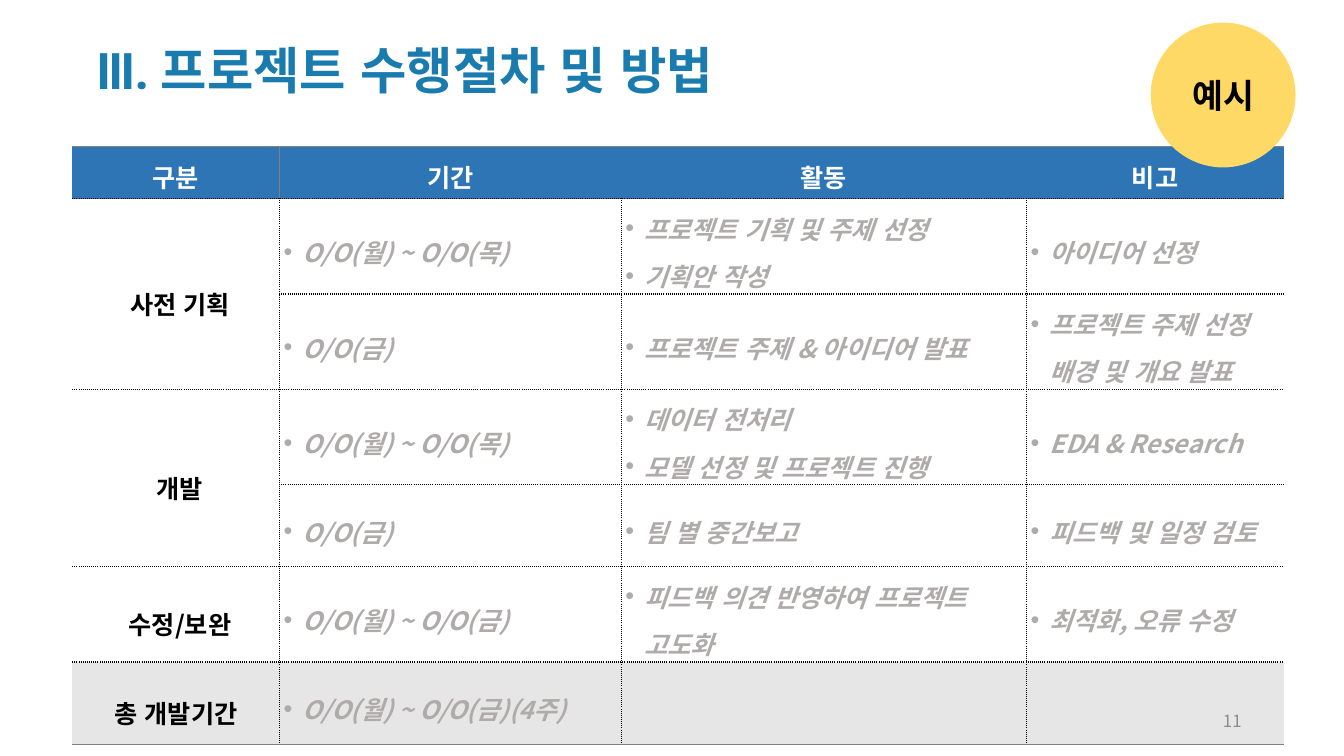
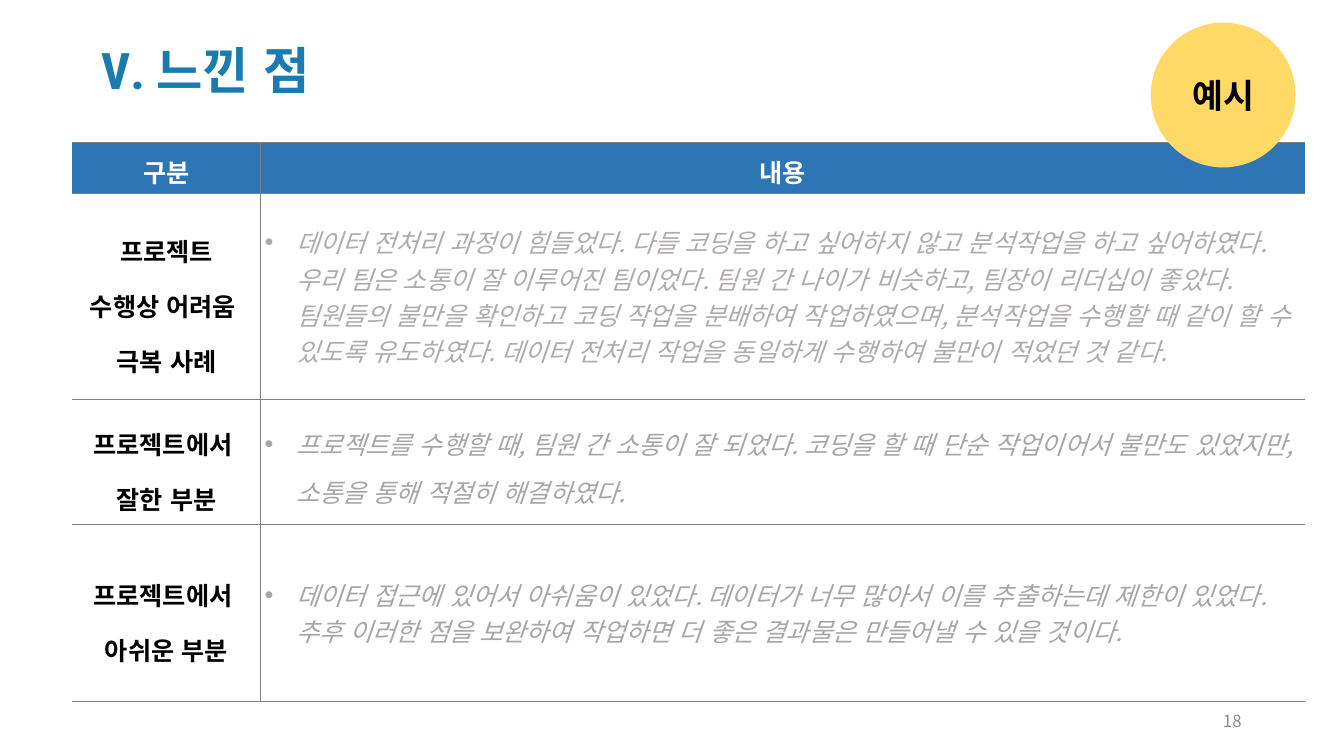
from lxml.etree import SubElement as Sub
from pptx import Presentation
from pptx.dml.color import RGBColor as Rgb
from pptx.enum.lang import MSO_LANGUAGE_ID as Lang
from pptx.enum.shapes import MSO_SHAPE as Shape
from pptx.enum.text import MSO_ANCHOR as Anchor, PP_ALIGN as Align
from pptx.oxml import parse_xml
from pptx.oxml.ns import nsdecls, qn
from pptx.util import Cm, Pt

SANS, HEAD, MARK = "Noto Sans CJK KR", "Roboto Condensed", "Arial"
BLUE, NAVY, GOLD = "2E75B6", "1A7BAE", "FFD966"
BLACK, WHITE, PALE = "000000", "FFFFFF", "E7E6E6"
SOFT, DIM, FOOT = "AFABAB", "A6A6A6", "8C8C8C"
THIN = ("808080", 0.5, "solid")
DOTS = (BLACK, 1, "sysDot")


def hue(code):
    """Turn a hex string into a colour."""
    return Rgb.from_string(code)


def write(frame, text, size=18, color=BLACK, bold=False, slant=False, font=SANS,
          align=Align.LEFT, space=None, dent=0):
    """Fill a text frame, one paragraph per line, bulleted when dent is given."""
    frame.word_wrap = True
    for num, line in enumerate(text.split("\n")):
        para = frame.add_paragraph() if num else frame.paragraphs[0]
        para.alignment = align
        if space:
            para.line_spacing = space
        if dent:
            props = para._p.get_or_add_pPr()
            props.set("marL", str(Cm(dent)))
            props.set("indent", str(-Cm(dent)))
            Sub(props, qn("a:buFont")).set("typeface", MARK)
            Sub(props, qn("a:buChar")).set("char", "•")
        run = para.add_run()
        run.text = line
        face = run.font
        face.size, face.bold, face.italic = Pt(size), bold, slant
        face.color.rgb = hue(color)
        face.language_id = Lang.KOREAN
        face.name = font
        Sub(run._r.get_or_add_rPr(), qn("a:ea")).set("typeface", SANS)


def paint(item, code):
    """Fill a shape or cell, or clear it when no colour is given."""
    if code:
        item.fill.solid()
        item.fill.fore_color.rgb = hue(code)
    else:
        item.fill.background()


def rule(cell, *sides):
    """Set the left, right, top and bottom borders of a cell."""
    props = cell._tc.get_or_add_tcPr()
    for spot, (name, line) in enumerate(zip("LRTB", sides)):
        if line:
            code, width, dash = line
            size = f' w="{Pt(width)}"'
            body = (f'<a:solidFill><a:srgbClr val="{code}"/></a:solidFill>'
                    f'<a:prstDash val="{dash}"/>')
        else:
            size, body = "", "<a:noFill/>"
        props.insert(spot, parse_xml(
            f'<a:ln{name} {nsdecls("a")}{size}>{body}</a:ln{name}>'))


def pad(cell, left=0):
    """Set the left margin of a cell, clear the others and centre it upright."""
    cell.margin_left = Cm(left)
    cell.margin_right = cell.margin_top = cell.margin_bottom = 0
    cell.vertical_anchor = Anchor.MIDDLE


def grid(slide, left, top, cols, rows, data, styles, inner, inset=0, total=False):
    """Draw a table with a head row, a label column and bulleted cells."""
    table = slide.shapes.add_table(len(rows), len(cols), Cm(left), Cm(top),
                                   Cm(sum(cols)), Cm(sum(rows))).table
    table.first_row = table.horz_banding = False
    for col, width in zip(table.columns, cols):
        col.width = Cm(width)
    for row, height in zip(table.rows, rows):
        row.height = Cm(height)
    last = len(rows) - 1

    def side(r, c):
        """Pick the line to the left of a cell."""
        if c in (0, len(cols)) or (r == 0 and c > 1):
            return None
        return inner if r else THIN

    for r, line in enumerate(data):
        for c, text in enumerate(line):
            cell = table.cell(r, c)
            closing = total and r == last
            paint(cell, BLUE if r == 0 else PALE if closing else None)
            above = None if text is None else inner if r else THIN
            rule(cell, side(r, c), side(r, c + 1), above,
                 THIN if r == last else inner)
            if r == 0:
                pad(cell)
                write(cell.text_frame, text, color=WHITE, bold=True,
                      align=Align.CENTER, space=1.2)
            elif c == 0:
                pad(cell, 0 if closing else inset)
                if text:
                    write(cell.text_frame, text, bold=True,
                          align=Align.CENTER, space=1.5)
            else:
                pad(cell, 0.1)
                if text:
                    write(cell.text_frame, text, slant=True, **styles[r - 1])
    for r, line in enumerate(data):
        if line[0] is None:
            table.cell(r - 1, 0).merge(table.cell(r, 0))


def title(slide, text, left):
    """Place the slide title."""
    box = slide.shapes.add_textbox(Cm(left), Cm(0.86), Cm(18.9), Cm(1.8))
    write(box.text_frame, text, size=36, color=NAVY, bold=True, font=HEAD)


def page(slide, text):
    """Place the page number."""
    box = slide.shapes.add_textbox(Cm(23.92), Cm(17.65), Cm(7.62), Cm(1.02))
    box.text_frame.vertical_anchor = Anchor.MIDDLE
    write(box.text_frame, text, size=12, color=FOOT, align=Align.RIGHT)


def badge(slide, text):
    """Place the round badge in the corner."""
    disc = slide.shapes.add_shape(Shape.OVAL, Cm(29), Cm(0.57), Cm(3.65), Cm(3.65))
    disc.shadow.inherit = False
    paint(disc, GOLD)
    disc.line.fill.background()
    disc.text_frame.vertical_anchor = Anchor.MIDDLE
    write(disc.text_frame, text, size=24, bold=True, align=Align.CENTER)


def build(deck, name, left, number, **table):
    """Add one slide with its title, table, page number and badge."""
    slide = deck.slides.add_slide(deck.slide_layouts[6])
    title(slide, name, left)
    grid(slide, 1.82, **table)
    page(slide, number)
    badge(slide, "예시")


PLAN = [
    ("구분", "기간", "활동", "비고"),
    ("사전 기획", "O/O(월) ~ O/O(목)", "프로젝트 기획 및 주제 선정\n기획안 작성", "아이디어 선정"),
    (None, "O/O(금)", "프로젝트 주제 & 아이디어 발표", "프로젝트 주제 선정 배경 및 개요 발표"),
    ("개발", "O/O(월) ~ O/O(목)", "데이터 전처리\n모델 선정 및 프로젝트 진행", "EDA & Research"),
    (None, "O/O(금)", "팀 별 중간보고", "피드백 및 일정 검토"),
    ("수정/보완", "O/O(월) ~ O/O(금)", "피드백 의견 반영하여 프로젝트 고도화", "최적화, 오류 수정"),
    ("총 개발기간", "O/O(월) ~ O/O(금)(4주)", "", ""),
]
VIEWS = [
    ("구분", "내용"),
    ("프로젝트\n수행상 어려움 \n극복 사례",
     "데이터 전처리 과정이 힘들었다. 다들 코딩을 하고 싶어하지 않고 분석작업을 하고 싶어하였다. "
     "우리 팀은 소통이 잘 이루어진 팀이었다. 팀원 간 나이가 비슷하고, 팀장이 리더십이 좋았다. "
     "팀원들의 불만을 확인하고 코딩 작업을 분배하여 작업하였으며, 분석작업을 수행할 때 같이 할 "
     "수 있도록 유도하였다. 데이터 전처리 작업을 동일하게 수행하여 불만이 적었던 것 같다."),
    ("프로젝트에서 \n잘한 부분",
     "프로젝트를 수행할 때, 팀원 간 소통이 잘 되었다. 코딩을 할 때 단순 작업이어서 불만도 "
     "있었지만, 소통을 통해 적절히 해결하였다."),
    ("프로젝트에서 \n아쉬운 부분",
     "데이터 접근에 있어서 아쉬움이 있었다. 데이터가 너무 많아서 이를 추출하는데 제한이 있었다. "
     "추후 이러한 점을 보완하여 작업하면 더 좋은 결과물은 만들어낼 수 있을 것이다."),
]


def main():
    """Build and save the deck."""
    deck = Presentation()
    deck.slide_width, deck.slide_height = Cm(33.87), Cm(19.05)
    tall, low = 2.4, 2.07
    build(deck, "Ⅲ. 프로젝트 수행절차 및 방법", 2.19, "11", top=3.69,
          cols=[5.23, 8.61, 10.21, 6.48],
          rows=[1.32, tall, tall, tall, low, tall, low], data=PLAN,
          styles=[dict(color=SOFT, bold=True, space=1.3, dent=0.48)] * 6,
          inner=DOTS, inset=0.2, total=True)
    build(deck, "Ⅴ. 느낀 점", 2.3, "18", top=3.59,
          cols=[4.75, 26.31], rows=[1.27, 5.21, 3.14, 4.45], data=VIEWS,
          styles=[dict(color=SOFT, dent=0.79),
                  dict(color=DIM, dent=0.79, space=1.3),
                  dict(color=DIM, dent=0.79)],
          inner=THIN)
    deck.save("out.pptx")


if __name__ == "__main__":
    main()
